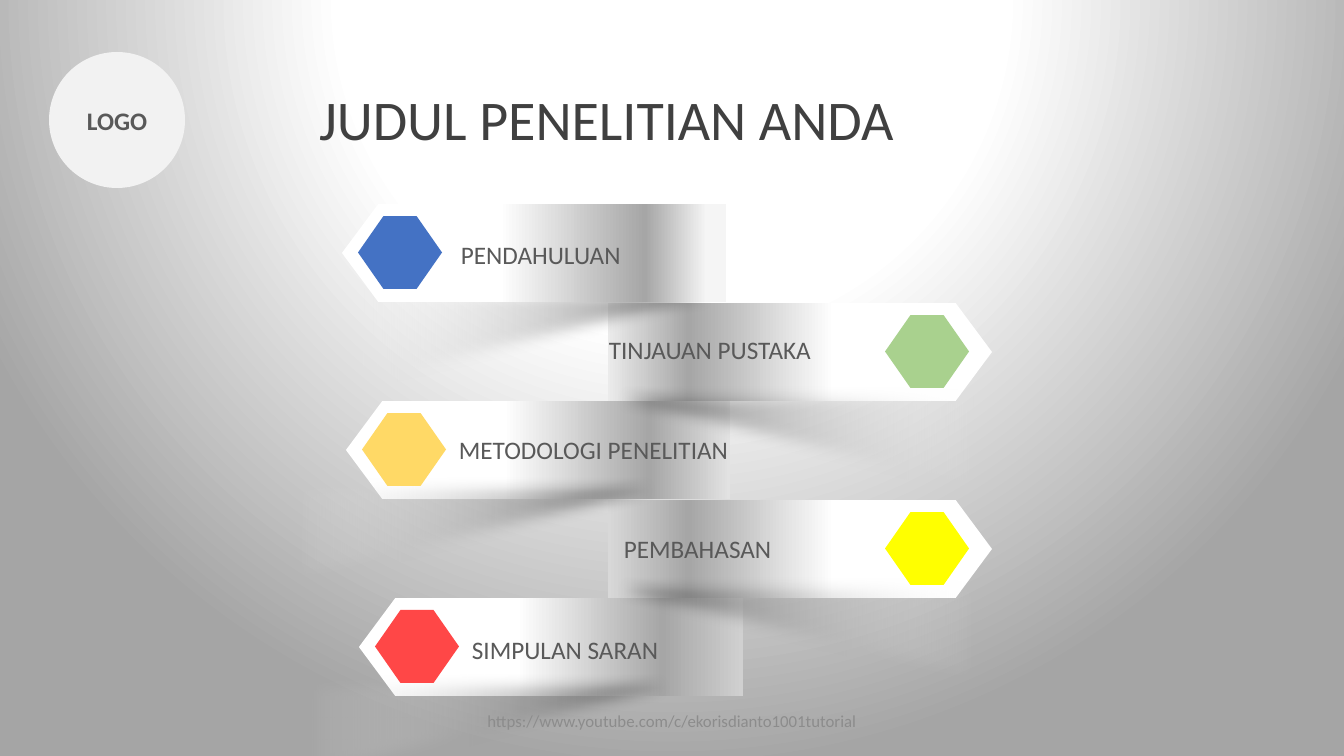
from lxml import etree
from pptx import Presentation
from pptx import util as u
from pptx.dml.color import RGBColor
from pptx.enum import shapes, text
from pptx.oxml import parse_xml
from pptx.oxml.ns import nsdecls, qn

PX = 914400 / 100.8
KIND = shapes.MSO_SHAPE
ALIGN = text.PP_ALIGN
MID = text.MSO_ANCHOR.MIDDLE
TOP = text.MSO_ANCHOR.TOP


def paint(fill, root, look, way):
    """Fill with one hex colour, or with (percent, hex, alpha) stops."""
    fill.solid()
    if isinstance(look, str):
        fill.fore_color.rgb = RGBColor.from_string(look)
        return
    stops = "".join(
        f'<a:gs pos="{pos * 1000}"><a:srgbClr val="{tint}">'
        f'<a:alpha val="{alpha * 1000}"/></a:srgbClr></a:gs>'
        for pos, tint, alpha in look)
    grad = parse_xml(f'<a:gradFill {nsdecls("a")} rotWithShape="1">'
                     f'<a:gsLst>{stops}</a:gsLst>{way}</a:gradFill>')
    old = next(root.iter(qn("a:solidFill")))
    old.getparent().replace(old, grad)


def write(shape, words, size=18, tint="595959", bold=False,
          align=ALIGN.LEFT, anchor=TOP):
    frame = shape.text_frame
    frame.word_wrap = True
    frame.auto_size = text.MSO_AUTO_SIZE.NONE
    frame.vertical_anchor = anchor
    para = frame.paragraphs[0]
    para.alignment = align
    run = para.add_run()
    run.text = words
    run.font.name = "Calibri"
    run.font.size = u.Pt(size)
    run.font.bold = bold
    run.font.color.rgb = RGBColor.from_string(tint)


deck = Presentation()
deck.slide_width, deck.slide_height = u.Inches(13.333), u.Inches(7.5)
slide = deck.slides.add_slide(deck.slide_layouts[5])

# Background glow
paint(slide.background.fill, slide.element,
      [(0, "FFFFFF", 100), (43, "FFFFFF", 100), (100, "A5A5A5", 100)],
      '<a:path path="circle"><a:fillToRect l="50000" t="-80000" '
      'r="50000" b="180000"/></a:path>')

# Title
title = slide.shapes.title
title.left, title.top, title.width, title.height = [
    round(n * PX) for n in (309, 79, 738, 77)]
write(title, "JUDUL PENELITIAN ANDA", size=40, tint="404040")

# Chapters: label, text box, banner x, banner end stop, shade x and y, colour
rows = [
    ("PENDAHULUAN", (451, 234, 217), 342, (95, "F5F5F5"), (295, 283), "4472C4"),
    ("TINJAUAN PUSTAKA", (599, 329, 282), 608, (100, "EBEBEB"), (500, 386), "A9D18E"),
    ("METODOLOGI PENELITIAN", (449, 429, 348), 346, (100, "E2E2E2"), (238, 477), "FFD966"),
    ("PEMBAHASAN", (614, 528, 204), 608, (100, "D8D8D8"), (500, 577), "FFFF00"),
    ("SIMPULAN SARAN", (462, 629, 250), 359, (100, "D0D0D0"), (251, 674), "FF4747"),
]

# Shapes from back to front: kind, box, flips, fill, angle, adjustment
banners, marks = [], []
for i, (label, spot, x, end, shade, tint) in enumerate(rows):
    right = i % 2 == 1
    y = int(204 + 98.5 * i + 0.5)
    banners.insert(0, (
        KIND.PENTAGON, (x, y, 384, 98), "" if right else "H",
        [(41, "FFFFFF", 100), (79, "A6A6A6", 100), (*end, 100)], 180, 0.371))
    marks.append((
        KIND.RIGHT_TRIANGLE, (*shade, 534, 129), "HV" if right else "V",
        [(9, "FFFFFF", 0), (100, "000000", 100)], 0, None))
    marks.append((
        KIND.HEXAGON, (x + (277 if right else 16), y + 12, 84, 73), "",
        tint, 0, 0.349))

# The first shade lies behind the first banner
order = banners[:-1] + [marks[0], banners[-1]] + marks[1:]
order.append((KIND.OVAL, (49, 52, 136, 136), "", "F2F2F2", 0, None))
for kind, box, flips, look, angle, adj in order:
    shape = slide.shapes.add_shape(kind, *[round(n * PX) for n in box])
    shape.shadow.inherit = False
    shape.line.fill.background()
    props = shape.element.spPr
    paint(shape.fill, props, look, f'<a:lin ang="{angle * 60000}" scaled="0"/>')
    for flip in flips:
        props.find(qn("a:xfrm")).set("flip" + flip, "1")
    if adj:
        shape.adjustments[0] = adj
    if kind == KIND.RIGHT_TRIANGLE:
        soft = etree.SubElement(props.find(qn("a:effectLst")), qn("a:softEdge"))
        soft.set("rad", str(u.Pt(10)))
    if kind == KIND.OVAL:
        write(shape, "LOGO", bold=True, align=ALIGN.CENTER, anchor=MID)

# Chapter labels
for label, spot, *rest in rows:
    note = slide.shapes.add_textbox(*[round(n * PX) for n in (*spot, 40)])
    write(note, label)

# Footer address
foot = slide.shapes.add_textbox(*[round(n * PX) for n in (445, 701, 454, 40)])
write(foot, "https://www.youtube.com/c/ekorisdianto1001tutorial", size=12,
      tint="8C8C8C", align=ALIGN.CENTER, anchor=MID)

deck.save("out.pptx")
